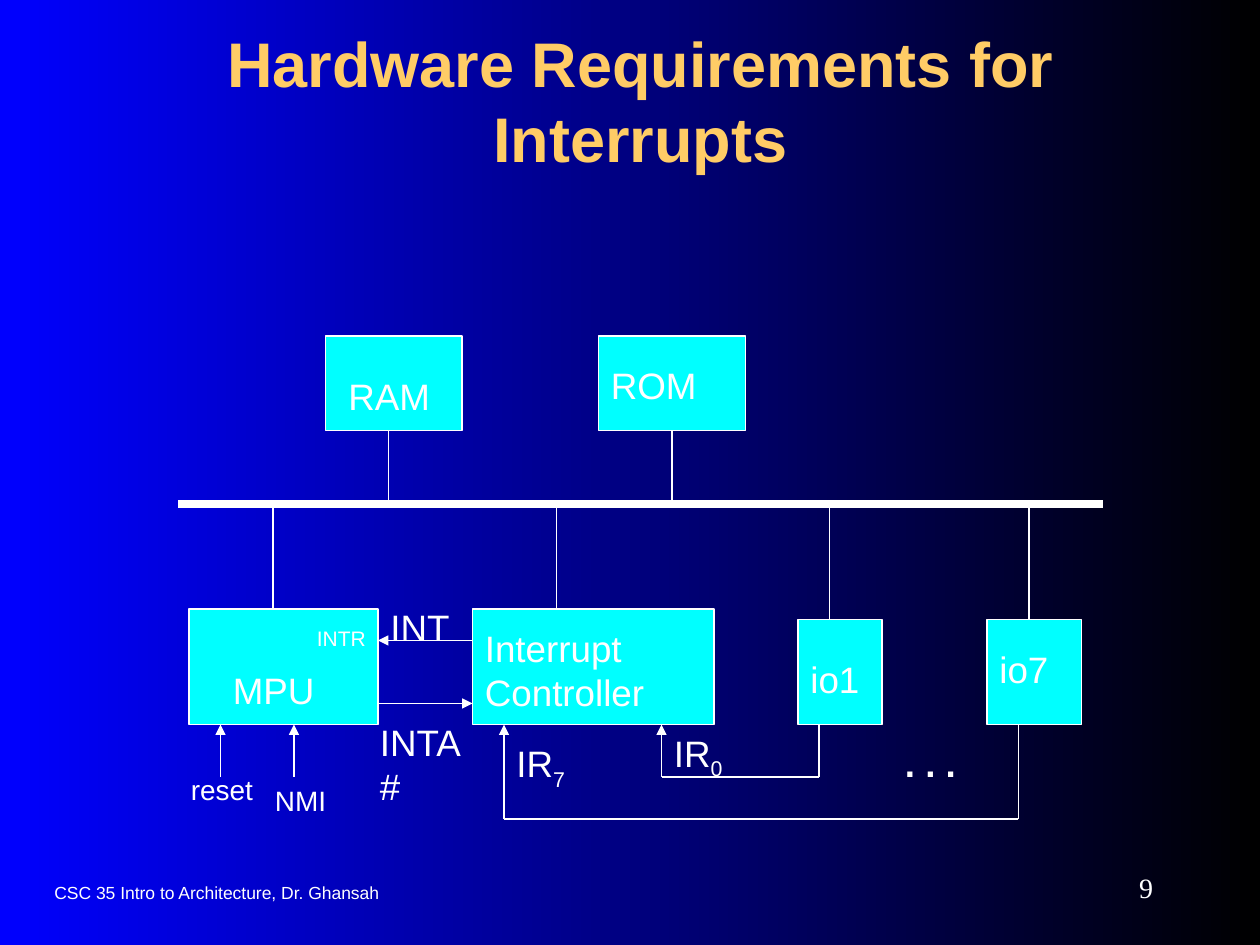
from itertools import pairwise

from lxml.etree import SubElement
from pptx import Presentation
from pptx.dml.color import RGBColor
from pptx.enum.shapes import MSO_CONNECTOR, MSO_SHAPE
from pptx.enum.text import MSO_ANCHOR as Anchor, PP_ALIGN as Align
from pptx.oxml.ns import qn
from pptx.util import Pt

WHITE = RGBColor(0xFF, 0xFF, 0xFF)
CYAN = RGBColor(0x00, 0xFF, 0xFF)
GOLD = RGBColor(0xFF, 0xCC, 0x66)
BLUE = RGBColor(0x00, 0x00, 0xFF)
BLACK = RGBColor(0x00, 0x00, 0x00)

BUS_Y = 96

# name: left, top, width, height, x of its bus line
BLOCKS = {
    "MPU": (6, 156, 108, 66, 54),
    "Interrupt Controller": (168, 156, 138, 66, 216),
    "io1": (354, 162, 48, 60, 372),
    "io7": (462, 162, 54, 60, 486),
    "RAM": (84, 0, 78, 54, 120),
    "ROM": (240, 0, 84, 54, 282),
}

# Corner points of each signal; the arrowhead is at the last one
SIGNALS = {
    "INT": [(168, 174), (114, 174)],
    "INTA#": [(114, 210), (168, 210)],
    "IR0": [(366, 222), (366, 252), (276, 252), (276, 222)],
    "IR7": [(480, 222), (480, 276), (186, 276), (186, 222)],
    "reset": [(24, 252), (24, 222)],
    "NMI": [(66, 252), (66, 222)],
}

# text, subscript, left, top, width, height, size
LABELS = [
    ("MPU", "", 24, 186, 78, 32, 21),
    ("Interrupt Controller", "", 168, 162, 108, 58, 21),
    ("io1", "", 354, 180, 48, 32, 21),
    ("io7", "", 462, 174, 48, 32, 21),
    ("RAM", "", 90, 18, 66, 32, 21),
    ("ROM", "", 240, 12, 72, 32, 21),
    ("INT", "", 114, 150, 54, 32, 21),
    ("INTA#", "", 108, 216, 72, 58, 21),
    ("IR", "7", 186, 228, 54, 32, 21),
    ("IR", "0", 276, 222, 54, 32, 21),
    ("INTR", "", 72, 162, 48, 22, 12),
    ("reset", "", 0, 246, 54, 26, 16),
    ("NMI", "", 48, 252, 54, 26, 16),
]


def add_text(page, text, left, top, width, height, size, color=WHITE, bold=False,
             font="Arial", align=Align.LEFT, anchor=Anchor.TOP, subscript=""):
    box = page.shapes.add_textbox(Pt(left), Pt(top), Pt(width), Pt(height))
    frame = box.text_frame
    frame.word_wrap = True
    frame.vertical_anchor = anchor
    frame.text = text
    para = frame.paragraphs[0]
    para.alignment = align
    if subscript:
        span = para.add_run()
        span.text = subscript
        span.font._element.set("baseline", "-25000")
    for span in para.runs:
        span.font.name = font
        span.font.size = Pt(size)
        span.font.bold = bold
        span.font.color.rgb = color


def add_line(page, start, end, weight=0.75, arrow=False):
    line = page.shapes.add_connector(
        MSO_CONNECTOR.STRAIGHT, *(Pt(value) for value in (*start, *end)))
    line.line.color.rgb = WHITE
    line.line.width = Pt(weight)
    if arrow:
        SubElement(line.line._get_or_add_ln(), qn("a:tailEnd"), type="triangle")
    SubElement(line._element.spPr, qn("a:effectLst"))


def add_block(page, left, top, width, height):
    block = page.shapes.add_shape(
        MSO_SHAPE.RECTANGLE, Pt(left), Pt(top), Pt(width), Pt(height))
    block.shadow.inherit = False
    block.fill.solid()
    block.fill.fore_color.rgb = CYAN
    block.line.color.rgb = WHITE
    block.line.width = Pt(0.75)


def add_background(page):
    fill = page.background.fill
    fill.gradient()
    fill.gradient_angle = 0
    for stop, color in zip(fill.gradient_stops, (BLUE, BLACK)):
        stop.color.rgb = color


def add_title(page, left, top, width, height):
    add_text(page, "Hardware Requirements for Interrupts", left, top, width, height,
             36, GOLD, bold=True, align=Align.CENTER, anchor=Anchor.MIDDLE)


def add_diagram(page, left, top, width):
    def place(x, y):
        return left + x, top + y

    # Bus
    add_line(page, place(0, BUS_Y), place(width, BUS_Y), weight=4.5)

    # Blocks, each joined to the bus
    for x, y, block_width, block_height, drop in BLOCKS.values():
        add_block(page, *place(x, y), block_width, block_height)
        edge = y if y > BUS_Y else y + block_height
        add_line(page, place(drop, edge), place(drop, BUS_Y))

    # Signals
    for corners in SIGNALS.values():
        for start, end in pairwise(corners):
            add_line(page, place(*start), place(*end), arrow=end == corners[-1])

    # Labels
    for text, subscript, x, y, label_width, label_height, size in LABELS:
        add_text(page, text, *place(x, y), label_width, label_height, size,
                 subscript=subscript)
    add_text(page, ". . .", *place(408, 228), 60, 32, 21, bold=True)


def add_footer(page, left, top, width, height):
    add_text(page, "CSC 35 Intro to Architecture, Dr. Ghansah", left, top + 6, 348,
             height - 6, 10, anchor=Anchor.MIDDLE)
    add_text(page, "9", left + width - 78, top, 78, height, 16,
             font="Times New Roman", align=Align.RIGHT, anchor=Anchor.MIDDLE)


def main():
    deck = Presentation()
    deck.slide_width, deck.slide_height = Pt(720), Pt(540)
    page = deck.slides.add_slide(deck.slide_layouts[6])
    add_background(page)
    add_title(page, 54, 30, 624, 54)
    add_diagram(page, 102, 192, 528)
    add_footer(page, 24, 492, 642, 30)
    deck.save("out.pptx")


if __name__ == "__main__":
    main()
